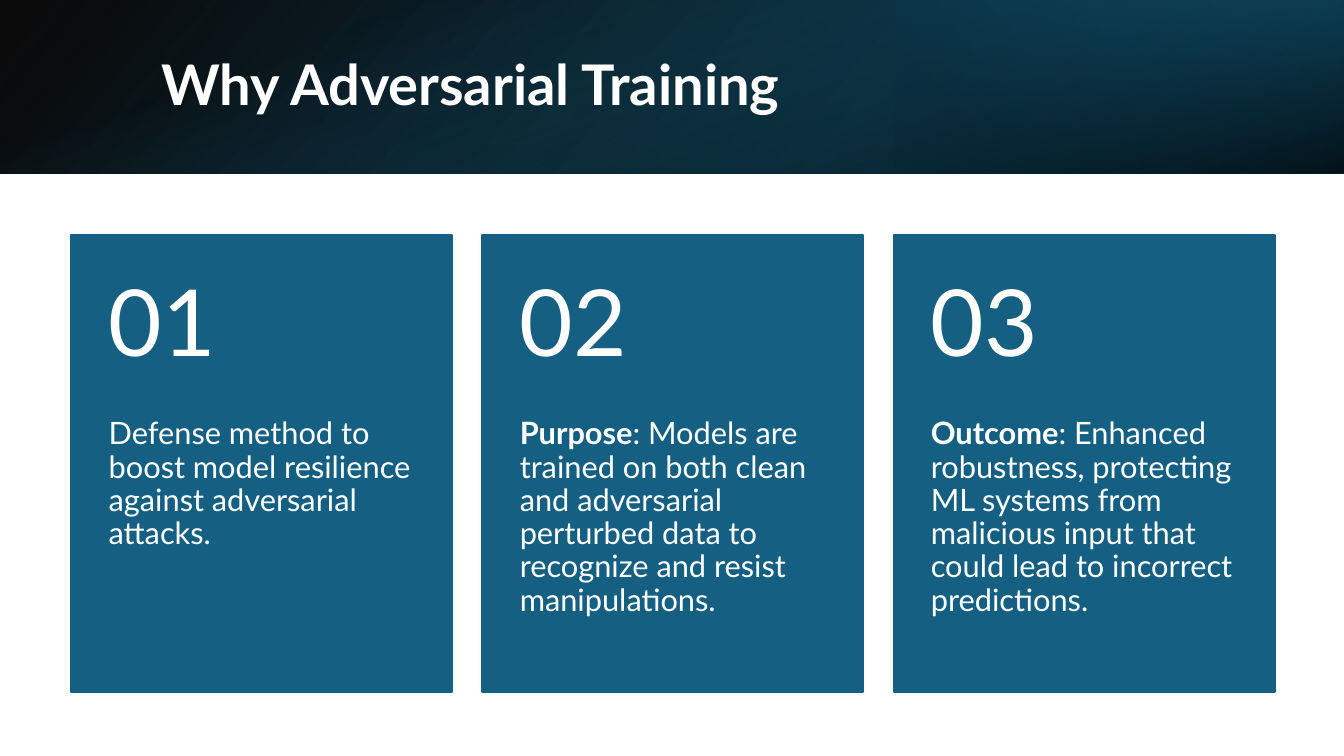
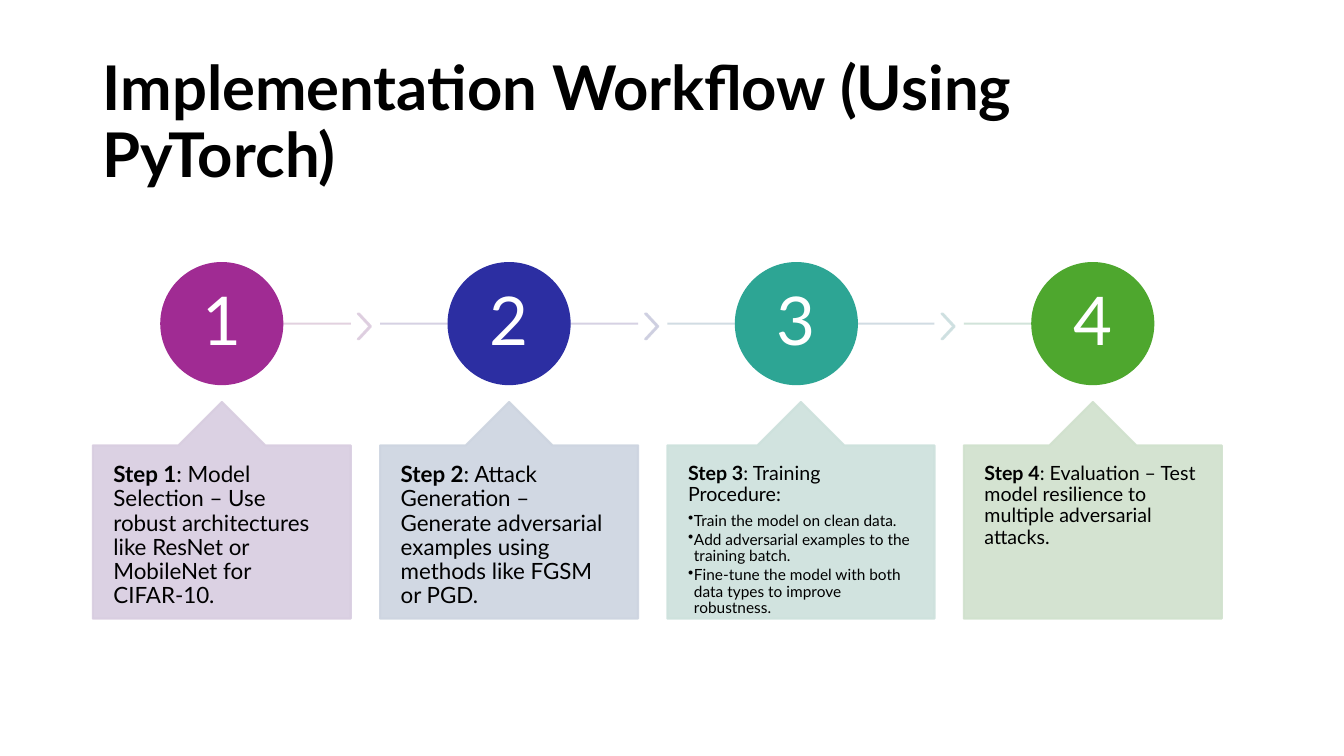
from lxml import etree
from pptx import Presentation
from pptx.dml.color import RGBColor
from pptx.enum.shapes import MSO_CONNECTOR, MSO_SHAPE
from pptx.enum.text import MSO_ANCHOR, MSO_AUTO_SIZE, PP_ALIGN
from pptx.oxml.ns import qn
from pptx.util import Cm, Pt

RECT, OVAL = MSO_SHAPE.RECTANGLE, MSO_SHAPE.OVAL
CHEVRON, CALLOUT = MSO_SHAPE.CHEVRON, MSO_SHAPE.UP_ARROW_CALLOUT
STRAIGHT = MSO_CONNECTOR.STRAIGHT
TOP, MIDDLE = MSO_ANCHOR.TOP, MSO_ANCHOR.MIDDLE
LEFT, CENTER = PP_ALIGN.LEFT, PP_ALIGN.CENTER
NO_FIT = MSO_AUTO_SIZE.NONE

FONT = "Lato"
WIDTH, HEIGHT = 33.87, 19.05
TITLE_ONLY = 5
LINE_WIDTH = 1.5
TINT_ALPHA = 90
COLORS = {
    "white": "FFFFFF",
    "black": "000000",
    "card": "156082",
    "band_blue": "104862",
    "band_navy": "0B3041",
}

CARDS = [
    ("", "Defense method to boost model resilience against adversarial attacks."),
    ("Purpose", ": Models are trained on both clean and adversarial perturbed data "
                "to recognize and resist manipulations."),
    ("Outcome", ": Enhanced robustness, protecting ML systems from malicious input "
                "that could lead to incorrect predictions."),
]

STEPS = [
    {"width": 6.5, "size": 16, "circle": "A02B93", "box": "D8CDE0",
     "line": "DFCDDC", "chevron": "DDCDDF", "bullets": [],
     "text": ": Model Selection – Use robust architectures like ResNet or MobileNet for CIFAR-10."},
    {"width": 6.5, "size": 16, "circle": "2C2EA2", "box": "CDD4E0",
     "line": "D2CDE0", "chevron": "CDCEE0", "bullets": [],
     "text": ": Attack Generation – Generate adversarial examples using methods like FGSM or PGD."},
    {"width": 6.73, "size": 14, "circle": "2DA594", "box": "CDE1DC",
     "line": "CDD9E0", "chevron": "CDDFE0",
     "bullets": ["Train the model on clean data.",
                 "Add adversarial examples to the training batch.",
                 "Fine-tune the model with both data types to improve robustness."],
     "text": ": Training Procedure:"},
    {"width": 6.5, "size": 14, "circle": "4EA72E", "box": "D0E1CD",
     "line": "CDE1D6", "chevron": None, "bullets": [],
     "text": ": Evaluation – Test model resilience to multiple adversarial attacks."},
]


def rgb(value):
    return RGBColor.from_string(value)


def set_alpha(sp, *percents):
    colors = list(sp.element.spPr.iter(qn("a:srgbClr")))
    if len(percents) == 1:
        percents = percents * len(colors)
    for color, percent in zip(colors, percents):
        etree.SubElement(color, qn("a:alpha")).set("val", str(percent * 1000))


def add_block(s, kind, box, color):
    sp = s.shapes.add_shape(kind, *map(Cm, box))
    sp.shadow.inherit = False
    sp.fill.solid()
    sp.fill.fore_color.rgb = rgb(color)
    sp.line.color.rgb = rgb(color)
    sp.line.width = Pt(LINE_WIDTH)
    return sp


def add_gradient(s, box, stops, angle):
    sp = s.shapes.add_shape(RECT, *map(Cm, box))
    sp.shadow.inherit = False
    sp.line.fill.background()
    sp.fill.gradient()
    sp.fill.gradient_angle = 360 - angle
    for stop, (position, color, _) in zip(sp.fill.gradient_stops, stops):
        stop.position = position
        stop.color.rgb = rgb(COLORS[color])
    set_alpha(sp, *(alpha for _, _, alpha in stops))


def add_line(s, x1, x2, y, color):
    line = s.shapes.add_connector(STRAIGHT, Cm(x1), Cm(y), Cm(x2), Cm(y))
    line.line.color.rgb = rgb(color)
    line.line.width = Pt(LINE_WIDTH)
    set_alpha(line, TINT_ALPHA)
    etree.SubElement(line.element.spPr, qn("a:effectLst"))


def set_frame(tf, insets, anchor):
    tf.word_wrap = True
    tf.auto_size = NO_FIT
    tf.vertical_anchor = anchor
    tf.margin_left, tf.margin_top, tf.margin_right, tf.margin_bottom = map(Cm, insets)


def write(p, lead, rest, size, color, align=LEFT, after=0):
    p.alignment = align
    p.line_spacing = 0.9
    p.space_after = Pt(after)
    for text, bold in ((lead, True), (rest, False)):
        if text:
            r = p.add_run()
            r.text = text
            r.font.name = FONT
            r.font.size = Pt(size)
            r.font.bold = bold
            r.font.color.rgb = rgb(COLORS[color])


def add_bullet(p):
    pPr = p._p.get_or_add_pPr()
    pPr.set("marL", str(Cm(0.15)))
    pPr.set("indent", str(Cm(-0.15)))
    etree.SubElement(pPr, qn("a:buChar")).set("char", "•")


def add_text(s, box, insets, anchor=TOP):
    tf = s.shapes.add_textbox(*map(Cm, box)).text_frame
    set_frame(tf, insets, anchor)
    return tf


def set_title(s, box, text, size, color):
    title = s.shapes.title
    title.left, title.top, title.width, title.height = map(Cm, box)
    set_frame(title.text_frame, (0.25, 0.13, 0.25, 0.13), MIDDLE)
    write(title.text_frame.paragraphs[0], text, "", size, color)
    title.element.getparent().append(title.element)


def add_band(s, box):
    x, y, w, h = box
    add_gradient(s, box, [(0, "black", 96), (1, "band_blue", 100)][:1]
                 + [(1, "band_blue", 100)], 40)
    add_gradient(s, (x + w * 2 / 3, y, w / 3, h),
                 [(0.19, "band_navy", 68), (1, "card", 79)], 320)
    add_gradient(s, box, [(0.23, "card", 0), (0.99, "black", 74)], 70)


def add_card(s, box, number, lead, rest):
    x, y, w, h = box
    number_h = 4.62
    add_block(s, RECT, box, COLORS["card"])
    tf = add_text(s, (x, y, w, number_h), (0.94, 0.46, 0.94, 0.46), MIDDLE)
    write(tf.paragraphs[0], "", f"{number:02}", 66, "white")
    tf = add_text(s, (x, y + number_h, w, h - number_h), (0.94, 0, 0.94, 0.91))
    write(tf.paragraphs[0], lead, rest, 22, "white")


def add_step(s, box, number, step):
    x, y, w, h = box
    center, diameter = x + 3.25, 3.05
    line_y = y + diameter / 2
    start = center if number == 1 else x
    end = center if number == len(STEPS) else x + w
    add_line(s, start, end, line_y, step["line"])
    if step["chevron"]:
        chevron = add_block(s, CHEVRON, (x + w + 0.18, line_y - 0.25, 0.33, 0.64),
                            step["chevron"])
        chevron.adjustments[0] = 0.9
        set_alpha(chevron, TINT_ALPHA)

    circle = add_block(s, OVAL, (center - diameter / 2, y, diameter, diameter),
                       step["circle"])
    set_frame(circle.text_frame, (0.13, 0.13, 0.13, 0.13), MIDDLE)
    write(circle.text_frame.paragraphs[0], "", str(number), 48, "white", CENTER)

    callout_h, text_h = 5.46, 4.37
    callout = add_block(s, CALLOUT, (x, y + h - callout_h, w, callout_h), step["box"])
    for i, value in enumerate((0.5, 0.2, 0.2, 1)):
        callout.adjustments[i] = value
    set_alpha(callout, TINT_ALPHA)

    tf = add_text(s, (x, y + h - text_h, w, text_h), (0.52, 0.46, 0.52, 0.46))
    write(tf.paragraphs[0], f"Step {number}", step["text"], step["size"], "black", after=5)
    for bullet in step["bullets"]:
        p = tf.add_paragraph()
        write(p, "", bullet, 11, "black", after=1.65)
        add_bullet(p)


def build_reasons(prs):
    s = prs.slides.add_slide(prs.slide_layouts[TITLE_ONLY])
    add_band(s, (0, 0, WIDTH, 4.37))
    set_title(s, (3.81, 0.97, 27.89, 2.44), "Why Adversarial Training", 40, "white")
    card_w, gap = 9.6, 0.76
    for i, (lead, rest) in enumerate(CARDS):
        add_card(s, (1.8 + i * (card_w + gap), 5.92, card_w, 11.53), i + 1, lead, rest)


def build_workflow(prs):
    s = prs.slides.add_slide(prs.slide_layouts[TITLE_ONLY])
    set_title(s, (2.34, 1.55, 29.21, 3.15),
              "Implementation Workflow (Using PyTorch)", 44, "black")
    x, gap = 2.34, 0.74
    for number, step in enumerate(STEPS, 1):
        add_step(s, (x, 6.63, step["width"], 8.96), number, step)
        x += step["width"] + gap


def main():
    prs = Presentation()
    prs.slide_width, prs.slide_height = Cm(WIDTH), Cm(HEIGHT)
    build_reasons(prs)
    build_workflow(prs)
    prs.save("out.pptx")


if __name__ == "__main__":
    main()
